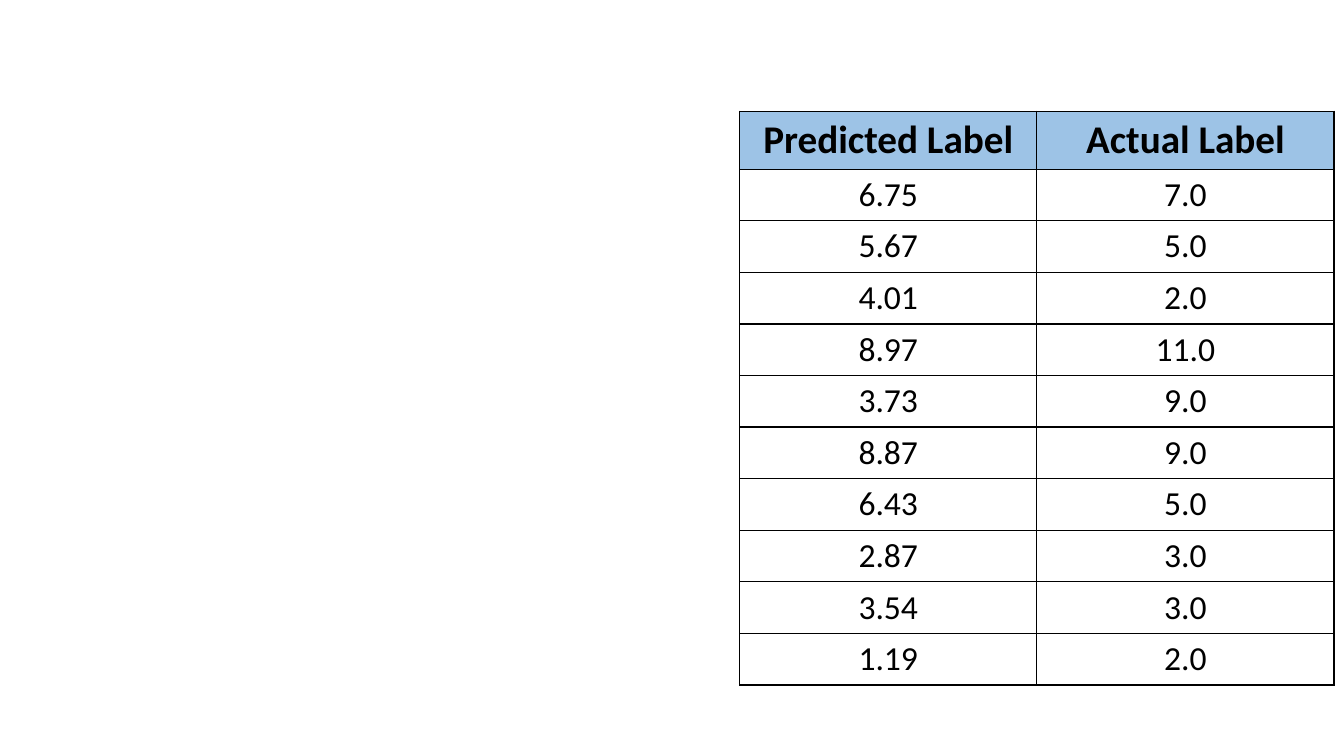
import pptx
import pptx.dml.color
import pptx.enum.text
import pptx.oxml
import pptx.oxml.ns
import pptx.util
from pptx.util import Cm

COLORS = {"ink": "000000", "header": "9DC3E6", "body": "FFFFFF"}
HEADER_FONT = {"name": "Calibri", "size": pptx.util.Pt(28), "bold": True}
BODY_FONT = {"name": "Calibri", "size": pptx.util.Pt(24), "bold": False}
BORDER_SIDES = ("L", "R", "T", "B")
LABELS = [
    ("Predicted Label", "Actual Label"),
    ("6.75", "7.0"),
    ("5.67", "5.0"),
    ("4.01", "2.0"),
    ("8.97", "11.0"),
    ("3.73", "9.0"),
    ("8.87", "9.0"),
    ("6.43", "5.0"),
    ("2.87", "3.0"),
    ("3.54", "3.0"),
    ("1.19", "2.0"),
]


def color(name):
    return pptx.dml.color.RGBColor.from_string(COLORS[name])


def add_borders(cell):
    properties = cell._tc.get_or_add_tcPr()
    namespace = pptx.oxml.ns.nsdecls("a")
    for side in BORDER_SIDES:
        properties.append(pptx.oxml.parse_xml(
            f'<a:ln{side} {namespace} w="{pptx.util.Pt(1)}"><a:solidFill>'
            f'<a:srgbClr val="{COLORS["ink"]}"/></a:solidFill></a:ln{side}>'
        ))


def write_cell(cell, text, fill, font_values):
    add_borders(cell)
    cell.fill.solid()
    cell.fill.fore_color.rgb = color(fill)
    cell.vertical_anchor = pptx.enum.text.MSO_ANCHOR.MIDDLE
    para = cell.text_frame.paragraphs[0]
    para.alignment = pptx.enum.text.PP_ALIGN.CENTER
    span = para.add_run()
    span.text = text
    for attribute, value in font_values.items():
        setattr(span.font, attribute, value)
    span.font.color.rgb = color("ink")


def add_label_table(page, rows, left, top, column_width, row_height):
    column_count = len(rows[0])
    table = page.shapes.add_table(
        len(rows), column_count, left, top,
        column_width * column_count, row_height * len(rows),
    ).table
    table.first_row = True
    table.horz_banding = False
    for row_index, row in enumerate(rows):
        fill, font = ("body", BODY_FONT) if row_index else ("header", HEADER_FONT)
        for column_index, text in enumerate(row):
            write_cell(table.cell(row_index, column_index), text, fill, font)


def main():
    deck = pptx.Presentation()
    deck.slide_width = Cm(33.87)
    deck.slide_height = Cm(19.05)
    page = deck.slides.add_slide(deck.slide_layouts[6])
    add_label_table(page, LABELS, Cm(18.64), Cm(2.8), Cm(7.49), Cm(1.3))
    deck.save("out.pptx")


main()
